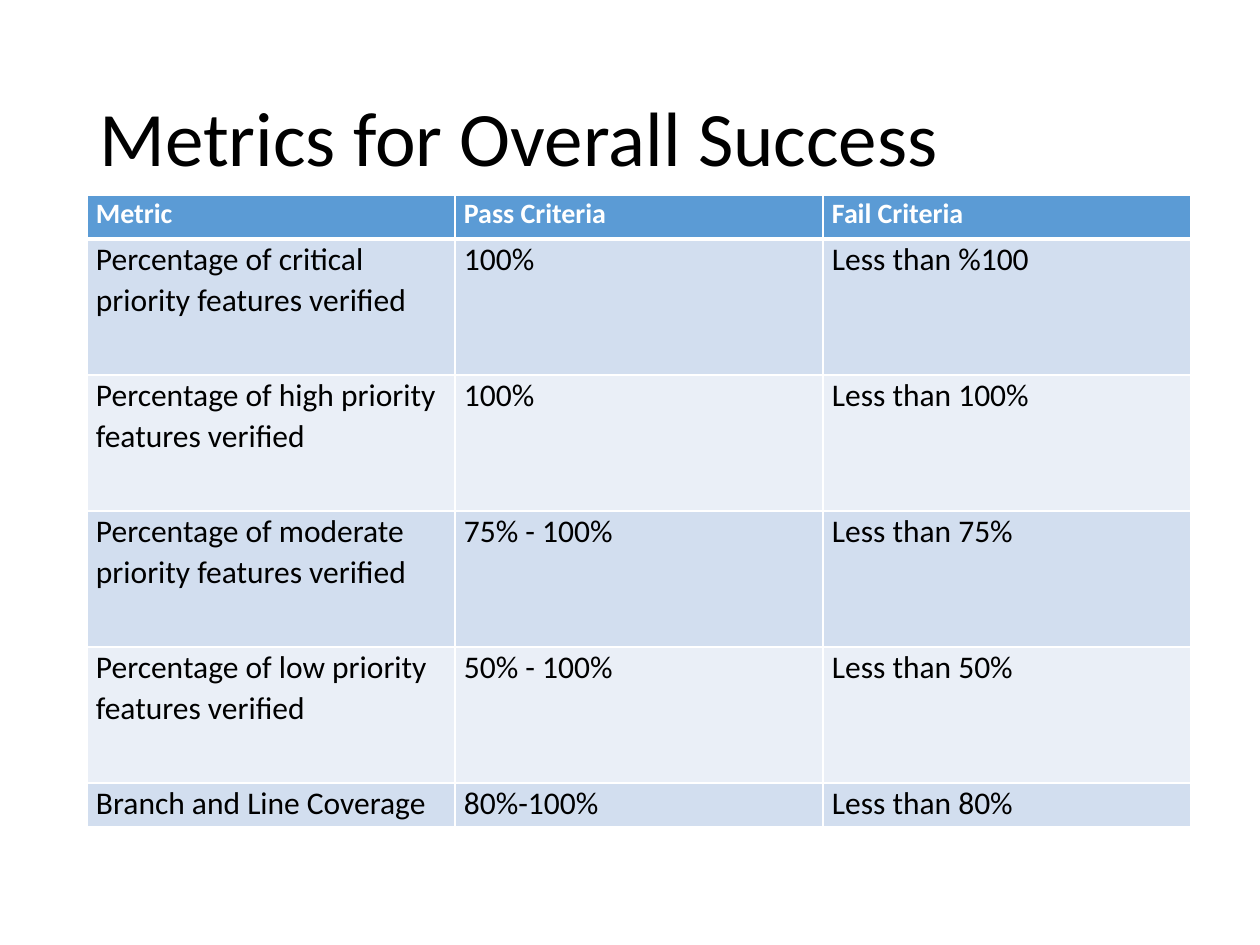
from dataclasses import dataclass

from lxml.etree import SubElement
from pptx import Presentation
from pptx.dml.color import RGBColor as RGB
from pptx.enum.text import MSO_ANCHOR as ANCHOR
from pptx.oxml.ns import qn
from pptx.util import Pt

"""Builds the slide on metrics for overall success."""

PX = 914400 // 126
FONT = "Calibri"
COLORS = {
    "header": "5B9BD5",
    "odd": "D2DEEF",
    "even": "EAEFF7",
    "light": "FFFFFF",
    "dark": "000000",
}
LEFT, TOP, COL_W = 87, 195, 368


@dataclass
class Row:
    texts: tuple[str, str, str]
    height: int
    fill: str
    size: int = 18
    color: str = "dark"
    bold: bool = False
    bottom: int = 1


ROWS = [
    Row(("Metric", "Pass Criteria", "Fail Criteria"), 44, "header", 16, "light", True, 3),
    Row(("Percentage of critical priority features verified", "100%", "Less than %100"), 136, "odd"),
    Row(("Percentage of high priority features verified", "100%", "Less than 100%"), 136, "even"),
    Row(("Percentage of moderate priority features verified", "75% - 100%", "Less than 75%"), 136, "odd"),
    Row(("Percentage of low priority features verified", "50% - 100%", "Less than 50%"), 136, "even"),
    Row(("Branch and Line Coverage", "80%-100%", "Less than 80%"), 44, "odd"),
]


def rgb(name: str) -> RGB:
    return RGB.from_string(COLORS[name])


def format_text(tf, size: int, color: str, bold: bool, spacing: float) -> None:
    for p in tf.paragraphs:
        p.line_spacing = spacing
        for r in p.runs:
            r.font.name, r.font.size, r.font.bold = FONT, Pt(size), bold
            r.font.color.rgb = rgb(color)


def add_borders(cell, top: int, bottom: int) -> None:
    tc_pr = cell._tc.get_or_add_tcPr()
    for side, width in (("L", 1), ("R", 1), ("T", top), ("B", bottom)):
        ln = SubElement(tc_pr, qn(f"a:ln{side}"), w=str(Pt(width)))
        SubElement(SubElement(ln, qn("a:solidFill")), qn("a:srgbClr"), val=COLORS["light"])


def fill_cell(cell, text: str, row: Row, top: int) -> None:
    add_borders(cell, top, row.bottom)
    cell.fill.solid()
    cell.fill.fore_color.rgb = rgb(row.fill)
    cell.margin_left = cell.margin_right = 9 * PX
    cell.margin_top = cell.margin_bottom = 0
    cell.text_frame.text = text
    format_text(cell.text_frame, row.size, row.color, row.bold, 1.05)


def add_title(s, text: str) -> None:
    tf = s.shapes.add_textbox(LEFT * PX, 50 * PX, 1086 * PX, 183 * PX).text_frame
    tf.word_wrap = True
    tf.vertical_anchor = ANCHOR.MIDDLE
    tf.text = text
    format_text(tf, 44, "dark", False, 0.9)


def add_metrics(s, rows: list[Row]) -> None:
    n = len(rows[0].texts)
    height = sum(row.height for row in rows)
    table = s.shapes.add_table(len(rows), n, LEFT * PX, TOP * PX, n * COL_W * PX, height * PX).table
    for col in table.columns:
        col.width = COL_W * PX
    top = 1
    for i, row in enumerate(rows):
        table.rows[i].height = row.height * PX
        for j, text in enumerate(row.texts):
            fill_cell(table.cell(i, j), text, row, top)
        top = row.bottom


def main() -> None:
    prs = Presentation()
    prs.slide_width, prs.slide_height = 1260 * PX, 945 * PX
    s = prs.slides.add_slide(prs.slide_layouts[6])
    add_title(s, "Metrics for Overall Success")
    add_metrics(s, ROWS)
    prs.save("out.pptx")


if __name__ == "__main__":
    main()
